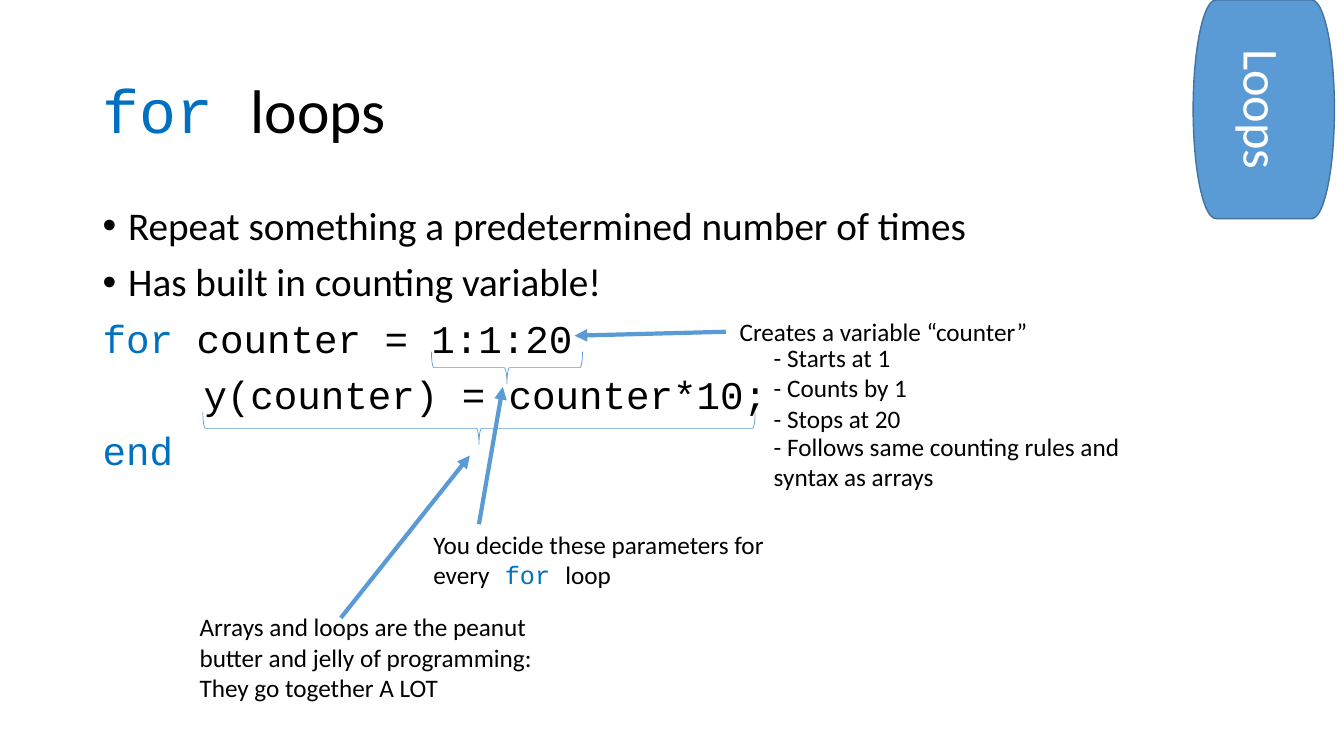
from dataclasses import dataclass

from lxml.etree import SubElement
from pptx import Presentation
from pptx.dml.color import RGBColor
from pptx.enum.shapes import MSO_CONNECTOR, MSO_SHAPE
from pptx.enum.text import MSO_ANCHOR, PP_ALIGN
from pptx.oxml.ns import qn
from pptx.util import Cm, Pt


@dataclass(frozen=True)
class Theme:
    text: str = "000000"
    keyword: str = "0070C0"
    accent: str = "5B9BD5"
    outline: str = "43739E"
    light: str = "FFFFFF"
    sans: str = "Calibri"
    mono: str = "Courier New"
    title: int = 44
    tab: int = 36
    body: int = 28
    note: int = 18


@dataclass(frozen=True)
class Box:
    """A region in centimetres."""
    left: float
    top: float
    width: float
    height: float

    def inner(self, left, top, width, height):
        return Box(self.left + left, self.top + top, width, height)

    def lengths(self):
        return [Cm(side) for side in (self.left, self.top, self.width, self.height)]


THEME = Theme()


def plain(text):
    return text, THEME.sans, THEME.text


def code(text):
    return text, THEME.mono, THEME.text


def keyword(text):
    return text, THEME.mono, THEME.keyword


def write(frame, spans, size=THEME.note, first=True, align=None, line=None,
          before=None, indent=0, bullet=False):
    """Write one paragraph of (text, font, colour) spans."""
    para = frame.paragraphs[0] if first else frame.add_paragraph()
    para.alignment, para.line_spacing = align, line
    if before is not None:
        para.space_before = Pt(before)
    properties = para._p.get_or_add_pPr()
    properties.set("marL", str(Cm(indent)))
    properties.set("indent", str(-Cm(indent) if bullet else 0))
    if bullet:
        SubElement(properties, qn("a:buFont"), typeface="Arial")
        SubElement(properties, qn("a:buChar"), char="•")
    for text, font, colour in spans:
        span = para.add_run()
        span.text = text
        span.font.name, span.font.size = font, Pt(size)
        span.font.color.rgb = RGBColor.from_string(colour)


def add_text_box(page, box, anchor=MSO_ANCHOR.TOP):
    frame = page.shapes.add_textbox(*box.lengths()).text_frame
    frame.word_wrap = True
    frame.vertical_anchor = anchor
    return frame


def add_note(page, box, *spans):
    write(add_text_box(page, box), spans)


def add_arrow(page, box, start, end):
    """Draw an arrow between two points given relative to the box."""
    points = [Cm(value) for x, y in (start, end)
              for value in (box.left + x, box.top + y)]
    arrow = page.shapes.add_connector(MSO_CONNECTOR.STRAIGHT, *points)
    arrow.line.color.rgb = RGBColor.from_string(THEME.accent)
    arrow.line.width = Pt(3)
    SubElement(arrow.line._get_or_add_ln(), qn("a:tailEnd"), type="triangle")
    SubElement(arrow._element.spPr, qn("a:effectLst"))


def add_brace(page, box):
    """Draw a brace that fills the box and points down."""
    shift = (box.width - box.height) / 2
    upright = box.inner(shift, -shift, box.height, box.width)
    brace = page.shapes.add_shape(MSO_SHAPE.RIGHT_BRACE, *upright.lengths())
    brace.rotation = 90
    brace.shadow.inherit = False
    brace.fill.background()
    brace.line.color.rgb = RGBColor.from_string(THEME.accent)
    brace.line.width = Pt(0.5)


def add_title(page, box):
    frame = add_text_box(page, box, MSO_ANCHOR.MIDDLE)
    write(frame, [keyword("for "), plain("loops")], size=THEME.title, line=0.9)


def add_body(page, box):
    frame = add_text_box(page, box)
    bullet = {"bullet": True, "indent": 0.64}
    rows = [
        ([plain("Repeat something a predetermined number of times")], bullet),
        ([plain("Has built in counting variable!")], bullet),
        ([keyword("for "), code("counter = 1:1:20")], {}),
        ([code("y(counter) = counter*10;")], {"indent": 2.54}),
        ([keyword("end")], {}),
    ]
    for index, (spans, layout) in enumerate(rows):
        write(frame, spans, size=THEME.body, first=index == 0,
              line=0.9, before=10, **layout)


def add_section_tab(page, box):
    tab = page.shapes.add_shape(MSO_SHAPE.FLOWCHART_TERMINATOR, *box.lengths())
    tab.shadow.inherit = False
    tab.fill.solid()
    tab.fill.fore_color.rgb = RGBColor.from_string(THEME.accent)
    tab.line.color.rgb = RGBColor.from_string(THEME.outline)
    tab.line.width = Pt(1)
    frame = tab.text_frame
    frame.vertical_anchor = MSO_ANCHOR.MIDDLE
    frame._txBody.bodyPr.set("vert", "vert")
    write(frame, [("Loops", THEME.sans, THEME.light)], size=THEME.tab,
          align=PP_ALIGN.CENTER)


def add_counter_notes(page, box):
    add_arrow(page, box, start=(-0.1, 0.51), end=(-3.91, 0.61))
    add_note(page, box.inner(0, 0, box.width, 1.02),
             plain("Creates a variable “counter”"))
    details = [
        (0.66, "- Starts at 1"),
        (1.4, "- Counts by 1"),
        (2.18, "- Stops at 20"),
        (2.89, "- Follows same counting rules and syntax as arrays"),
    ]
    for top, text in details:
        add_note(page, box.inner(0.86, top, box.width, 1.02), plain(text))


def add_callout(page, box, spans, brace, start, end):
    """Explain a braced piece of code; parts are relative to the note."""
    add_brace(page, box.inner(*brace))
    add_arrow(page, box, start, end)
    add_note(page, box, *spans)


deck = Presentation()
deck.slide_width, deck.slide_height = Cm(33.87), Cm(19.05)
page = deck.slides.add_slide(deck.slide_layouts[6])

# Heading, main text and section marker
add_title(page, Box(2.34, 1.02, 29.21, 3.68))
add_body(page, Box(2.34, 5.08, 29.21, 12.09))
add_section_tab(page, Box(30.07, 0, 3.56, 5.51))

# Explanations of the code
add_counter_notes(page, Box(18.39, 7.85, 9.42, 4.7))
add_callout(page, Box(10.67, 13.21, 8.99, 1.8),
            [plain("You decide these parameters for every"),
             keyword(" for "), plain("loop")],
            brace=(0.2, -4.35, 3.81, 0.81), start=(1.4, 0), end=(2, -3.46))
add_callout(page, Box(4.78, 15.29, 8.99, 2.57),
            [plain("Arrays and loops are the peanut butter and jelly of "
                   "programming: They go together A LOT")],
            brace=(0.33, -4.9, 13.92, 0.81), start=(3.81, 0.28), end=(7.06, -3.81))

deck.save("out.pptx")
